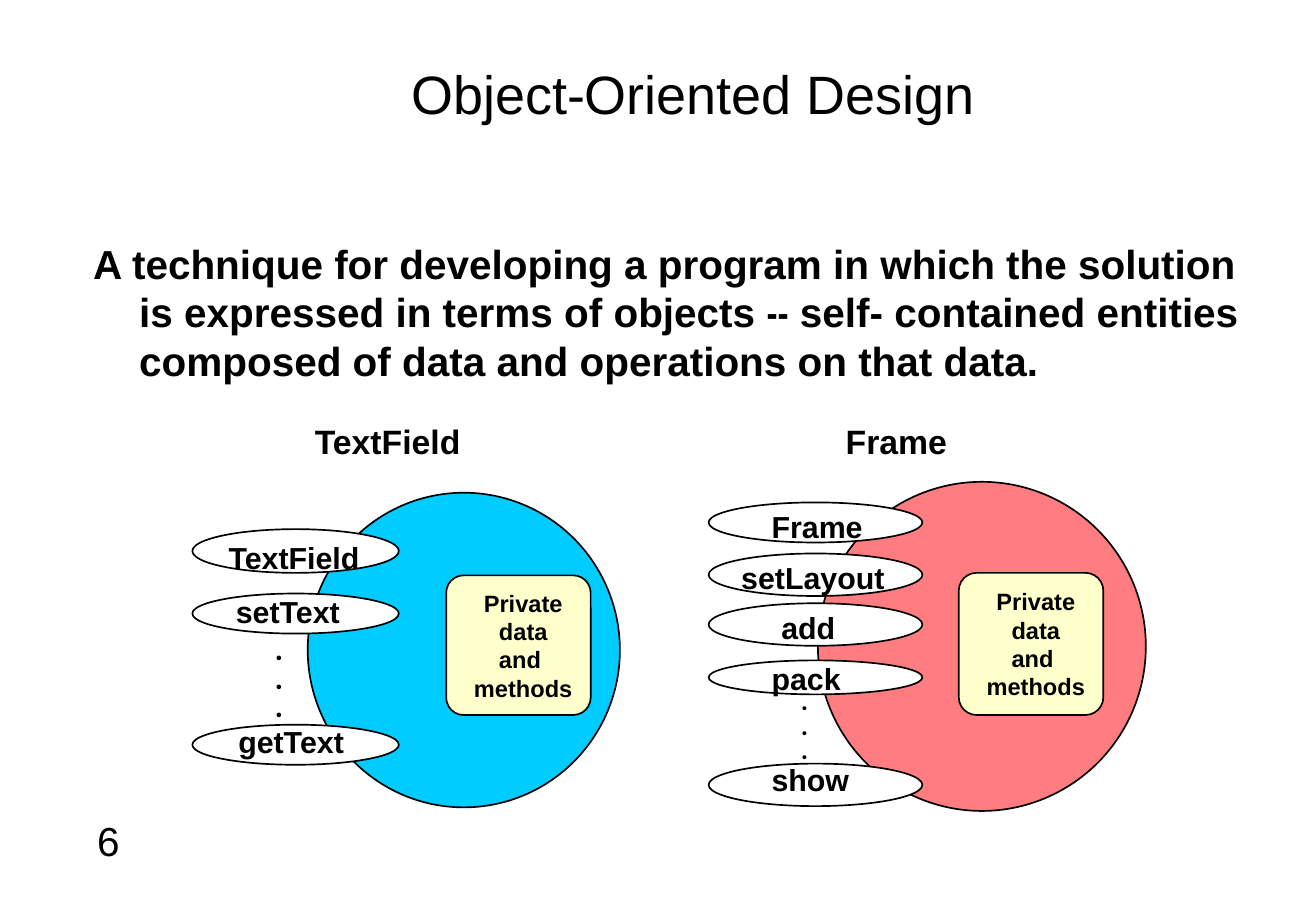
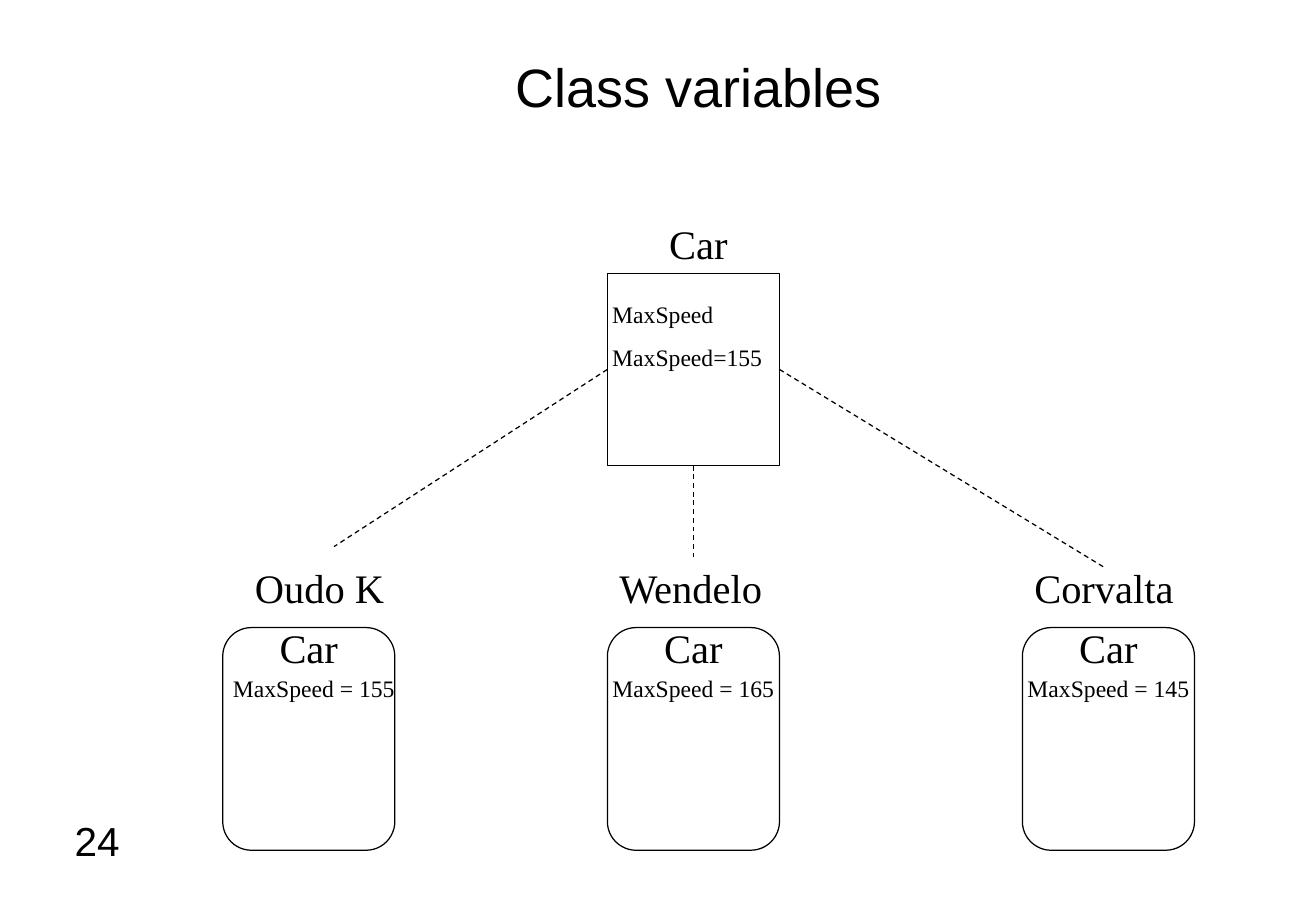
from dataclasses import dataclass

from lxml import etree
from pptx import Presentation
from pptx.dml.color import RGBColor
from pptx.enum.dml import MSO_LINE
from pptx.enum.shapes import MSO_CONNECTOR, MSO_SHAPE as SHAPE
from pptx.enum.text import MSO_ANCHOR as ANCHOR, MSO_AUTO_SIZE, PP_ALIGN as ALIGN
from pptx.oxml.ns import qn
from pptx.util import Inches, Pt

WIDTH, HEIGHT = 10.84, 7.5
BLACK, WHITE, CREAM = "000000", "FFFFFF", "FFFFCC"
BLUE, RED = "00CCFF", "FF7C80"
SANS, NARROW, SERIF, DOT_FONT = "Arial", "Arial Narrow", "Times New Roman", "Montserrat"


@dataclass
class Grid:
    x: float
    y: float
    w: float
    h: float
    cols: int
    rows: int

    def cell(self, col, row, cols=0, rows=0):
        dx, dy = self.w / self.cols, self.h / self.rows
        return self.x + col * dx, self.y + row * dy, cols * dx, rows * dy

    def box(self, *cells):
        return [Inches(v) for v in self.cell(*cells)]

    def sub(self, cells, cols, rows):
        return Grid(*self.cell(*cells), cols, rows)


PAGE = Grid(0, 0, WIDTH, HEIGHT, 130, 90)


def rgb(color):
    return RGBColor.from_string(color)


def set_text(tf, lines, size, font=SANS, bold=False, align=ALIGN.LEFT, gap=0, anchor=ANCHOR.TOP):
    tf.word_wrap = True
    tf.auto_size = MSO_AUTO_SIZE.NONE
    tf.vertical_anchor = anchor
    for i, line in enumerate(lines):
        p = tf.paragraphs[0] if i == 0 else tf.add_paragraph()
        p.alignment = align
        p.space_before = Pt(gap if i else 0)
        for text, face in [(line, font)] if isinstance(line, str) else line:
            r = p.add_run()
            r.text = text
            f = r.font
            f.name, f.size, f.bold = face, Pt(size), bold
            f.color.rgb = rgb(BLACK)


def add_label(s, box, lines, size, **style):
    set_text(s.shapes.add_textbox(*box).text_frame, lines, size, **style)


def add_figure(s, kind, box, fill=None, weight=1.0, corner=None):
    sp = s.shapes.add_shape(kind, *box)
    sp.shadow.inherit = False
    if fill:
        sp.fill.solid()
        sp.fill.fore_color.rgb = rgb(fill)
    else:
        sp.fill.background()
    sp.line.color.rgb = rgb(BLACK)
    sp.line.width = Pt(weight)
    if corner:
        sp.adjustments[0] = corner
    return sp


def new_slide(prs, layout, title, title_box, anchor, number):
    s = prs.slides.add_slide(prs.slide_layouts[layout])
    t = s.shapes.title
    t.left, t.top, t.width, t.height = title_box
    set_text(t.text_frame, [title], 32, align=ALIGN.CENTER, anchor=anchor)
    add_label(s, PAGE.box(3, 80, 10, 6), [number], 24, align=ALIGN.RIGHT)
    return s


def add_definition(s, box, runs):
    body = s.placeholders[1]
    body.left, body.top, body.width, body.height = box
    set_text(body.text_frame, [runs], 24, bold=True)
    pPr = body.text_frame.paragraphs[0]._p.get_or_add_pPr()
    pPr.set("marL", str(Inches(0.38)))
    pPr.set("indent", str(-Inches(0.38)))
    etree.SubElement(pPr, qn("a:buNone"))


def add_object(s, grid, heading, color, circle, private, oval_width, methods, dots):
    add_label(s, grid.box(heading[1], 0, 20, 4.4), heading[:1], 20, bold=True)
    add_figure(s, SHAPE.OVAL, grid.box(*circle), color)
    sp = add_figure(s, SHAPE.ROUNDED_RECTANGLE, grid.box(*private), CREAM, corner=0.125)
    tf = sp.text_frame
    tf.margin_left, tf.margin_right = Inches(0.17), Inches(0.09)
    tf.margin_top = tf.margin_bottom = 0
    set_text(tf, ["Private data", "and ", "methods"], 14, bold=True,
             align=ALIGN.CENTER, anchor=ANCHOR.MIDDLE)
    for name, top, height, text_col, text_row in methods:
        add_figure(s, SHAPE.OVAL, grid.box(0, top, oval_width, height), WHITE)
        add_label(s, grid.box(text_col, text_row, oval_width, 4), [name], 18, bold=True)
    col, row, size = dots
    add_label(s, grid.box(col, row, 3, 8), ["."] * 3, size, font=DOT_FONT, bold=True)


def add_class(s, grid, name, lines):
    add_label(s, grid.box(0, 0, 18, 6), [name], 24, font=SERIF, align=ALIGN.CENTER)
    sp = add_figure(s, SHAPE.RECTANGLE, grid.box(0, 6, 17, 19), WHITE, 0.75)
    add_label(s, grid.box(-0.7, 8, 21, 8.3), lines, 14, font=SERIF, gap=8.8)
    return sp


def add_instance(s, grid, name, name_col, speed, speed_col, speed_width):
    add_label(s, grid.box(name_col, 0, 20, 6), [name], 24, font=SERIF)
    add_figure(s, SHAPE.ROUNDED_RECTANGLE, grid.box(0, 7, 17, 22), weight=0.75, corner=0.167)
    add_label(s, grid.box(3, 6, 11, 6), ["Car"], 24, font=SERIF, align=ALIGN.CENTER)
    add_label(s, grid.box(speed_col, 11, speed_width, 4), [f"MaxSpeed = {speed}"], 14,
              font=SERIF, align=ALIGN.CENTER)


def add_dashed_link(s, source, side, end):
    x, y = end
    c = s.shapes.add_connector(MSO_CONNECTOR.STRAIGHT, x, y, x, y)
    c.begin_connect(source, side)
    c.line.color.rgb = rgb(BLACK)
    c.line.width = Pt(0.75)
    c.line.dash_style = MSO_LINE.DASH
    etree.SubElement(c._element.spPr, qn("a:effectLst"))


def design_slide(prs):
    s = new_slide(prs, 1, "Object-Oriented Design", PAGE.box(10, 5, 117, 8), ANCHOR.BOTTOM, "6")
    add_definition(s, PAGE.box(8, 23, 116, 16), [
        ("A technique for developing a program in which the solution is expressed "
         "in terms of objects ", SANS),
        ("--", NARROW),
        (" self- contained entities composed of data and operations on that data.", SANS)])
    add_object(
        s, PAGE.sub((19, 41, 43.2, 39.6), 36, 33), ("TextField", 9.1), BLUE,
        circle=(9.5, 6.4, 25.7, 25.9), private=(20.9, 13.2, 11.9, 11.5), oval_width=17,
        methods=[("TextField", 9.4, 3.6, 2, 9.7),
                 ("setText", 14.7, 3.3, 2.6, 14.2),
                 ("getText", 25.5, 3.3, 2.8, 24.9)],
        dots=(5.9, 17.8, 14))
    add_object(
        s, PAGE.sub((70, 41, 43.2, 39.6), 36, 33), ("Frame", 10.3), RED,
        circle=(9, 5.5, 27, 27.1), private=(20.6, 13, 11.9, 11.7), oval_width=17.6,
        methods=[("Frame", 7.2, 3.3, 4.2, 7.2),
                 ("setLayout", 11.4, 3.5, 1.7, 11.4),
                 ("add", 15.5, 3.5, 5, 15.5),
                 ("pack", 20.2, 2.8, 4.2, 19.7),
                 ("show", 28.7, 3.5, 4.2, 28)],
        dots=(6.7, 22.2, 12))


def variables_slide(prs):
    s = new_slide(prs, 5, "Class variables", PAGE.box(18, 3, 102, 11), ANCHOR.MIDDLE, "24")
    car = add_class(s, PAGE.sub((60, 21, 18, 25), 18, 25), "Car", ["MaxSpeed", "MaxSpeed=155"])
    for side, col, row in [(1, 33, 54), (2, 68.5, 55), (3, 109, 56)]:
        add_dashed_link(s, car, side, PAGE.box(col, row)[:2])
    for col, *instance in [(22, "Oudo K", 2, 155, -1, 20),
                           (60, "Wendelo", 0, 165, -2, 21),
                           (101, "Corvalta", 0, 145, -1, 19)]:
        add_instance(s, PAGE.sub((col, 55, 17, 29), 17, 29), *instance)


def main():
    prs = Presentation()
    prs.slide_width, prs.slide_height = Inches(WIDTH), Inches(HEIGHT)
    design_slide(prs)
    variables_slide(prs)
    prs.save("out.pptx")


if __name__ == "__main__":
    main()
